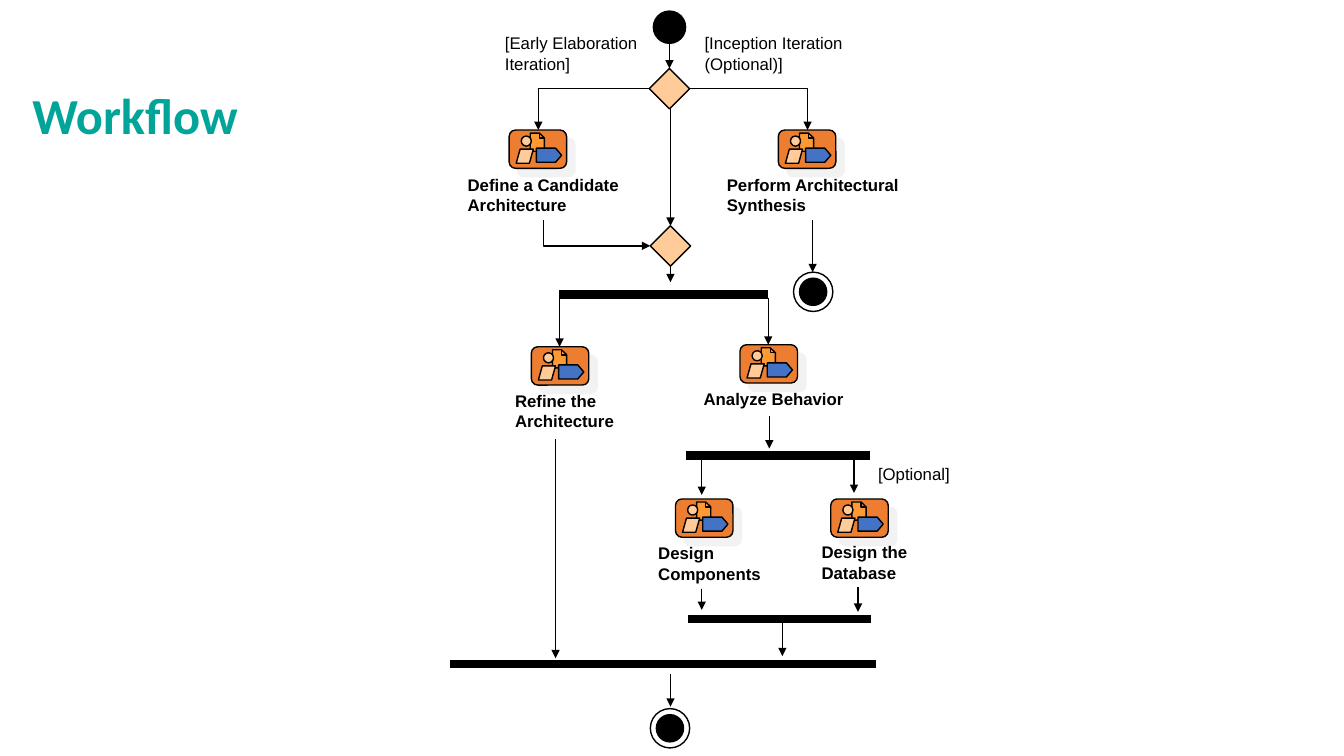
"""Build the architecture workflow activity diagram slide."""
from dataclasses import dataclass
from typing import Optional

import pptx
import pptx.dml.color
import pptx.enum.shapes
import pptx.enum.text
import pptx.oxml
import pptx.oxml.ns
import pptx.util
from pptx.util import Inches

SHAPES = pptx.enum.shapes.MSO_SHAPE
CONNECTORS = pptx.enum.shapes.MSO_CONNECTOR
Point = tuple[float, float]


@dataclass(frozen=True)
class Theme:
    title_color: str = "00A499"
    ink: str = "000000"
    activity: str = "ED7D31"
    document: str = "FF9933"
    pale: str = "FFCC99"
    process: str = "4472C4"
    shadow: str = "E7E6E6"
    title_font: str = "Calibri"
    label_font: str = "Arial"
    title_size: int = 36
    label_size: int = 12
    thin: float = 1
    thick: float = 6


@dataclass(frozen=True)
class Label:
    left: float
    top: float
    width: float
    lines: tuple[str, ...]
    bold: bool = False


@dataclass(frozen=True)
class Activity:
    left: float
    top: float
    label: Label


@dataclass(frozen=True)
class Link:
    start: Point
    end: Point
    arrow: str = "tailEnd"
    bent: bool = False


@dataclass(frozen=True)
class Part:
    kind: SHAPES
    left: float
    top: float
    width: float
    height: float
    fill: Optional[str]
    adjustment: Optional[float] = None


THEME = Theme()

ICON_PARTS = (
    Part(SHAPES.PARALLELOGRAM, 0.07, 0.19, 0.17, 0.14, THEME.pale, 0.279),
    Part(SHAPES.OVAL, 0.12, 0.06, 0.1, 0.1, THEME.pale),
    Part(SHAPES.PENTAGON, 0.27, 0.18, 0.25, 0.14, THEME.process, 0.427),
)
PAGE_OUTLINE = ((0.21, 0.03), (0.21, 0.21), (0.35, 0.21), (0.35, 0.08), (0.3, 0.03))
PAGE_FOLD = ((0.3, 0.03), (0.3, 0.08), (0.35, 0.08))

ACTIVITIES = (
    Activity(5.05, 1.29, Label(4.54, 1.68, 1.7, ("Define a Candidate", "Architecture"), True)),
    Activity(7.72, 1.29, Label(7.11, 1.68, 1.91, ("Perform Architectural", "Synthesis"), True)),
    Activity(5.27, 3.44, Label(5.01, 3.83, 1.18, ("Refine the", "Architecture"), True)),
    Activity(7.34, 3.42, Label(6.88, 3.81, 1.59, ("Analyze Behavior",), True)),
    Activity(6.7, 4.95, Label(6.43, 5.34, 1.22, ("Design", "Components"), True)),
    Activity(8.24, 4.95, Label(8.05, 5.33, 1.05, ("Design the", "Database"), True)),
)
CONDITIONS = (
    Label(4.91, 0.28, 1.56, ("[Early Elaboration", "Iteration]")),
    Label(6.89, 0.28, 1.57, ("[Inception Iteration", "(Optional)]")),
    Label(8.61, 4.55, 0.91, ("[Optional]",)),
)
START_NODE = Part(SHAPES.OVAL, 6.48, 0.11, 0.32, 0.32, THEME.ink)
DECISIONS = ((6.44, 0.68), (6.45, 2.24))
END_NODES = ((7.87, 2.7), (6.45, 7.03))
BARS = (
    Link((5.55, 2.92), (7.62, 2.92), ""),
    Link((6.8, 4.52), (8.63, 4.52), ""),
    Link((6.82, 6.14), (8.64, 6.14), ""),
    Link((4.46, 6.59), (8.69, 6.59), ""),
)
ARROWS = (
    Link((6.64, 0.43), (6.64, 0.68)),
    Link((6.44, 0.88), (5.34, 1.29), bent=True),
    Link((6.84, 0.88), (8.01, 1.29), bent=True),
    Link((6.45, 2.44), (5.39, 2.18), "headEnd", bent=True),
    Link((6.65, 1.08), (6.65, 2.24)),
    Link((8.06, 2.18), (8.06, 2.7)),
    Link((6.65, 2.64), (6.65, 2.8)),
    Link((5.55, 2.88), (5.55, 3.44)),
    Link((7.62, 2.96), (7.62, 3.42)),
    Link((7.63, 4.13), (7.63, 4.45)),
    Link((5.51, 4.36), (5.51, 6.53)),
    Link((6.96, 4.56), (6.96, 4.91)),
    Link((8.47, 4.56), (8.47, 4.89)),
    Link((6.96, 5.84), (6.96, 6.05)),
    Link((8.51, 5.82), (8.51, 6.07)),
    Link((7.76, 6.18), (7.76, 6.51)),
    Link((6.65, 6.69), (6.65, 7.01)),
)


def color(value: str) -> pptx.dml.color.RGBColor:
    return pptx.dml.color.RGBColor.from_string(value)


def paint(shape, fill: Optional[str]) -> None:
    shape.shadow.inherit = False
    if fill:
        shape.fill.solid()
        shape.fill.fore_color.rgb = color(fill)
    else:
        shape.fill.background()
    shape.line.color.rgb = color(THEME.ink)
    shape.line.width = pptx.util.Pt(THEME.thin)


def add_part(slide, part: Part, left: float = 0, top: float = 0):
    shape = slide.shapes.add_shape(part.kind, Inches(left + part.left), Inches(top + part.top),
                                   Inches(part.width), Inches(part.height))
    if part.adjustment is not None:
        shape.adjustments[0] = part.adjustment
    paint(shape, part.fill)
    return shape


def add_outline(slide, points: tuple[Point, ...], left: float, top: float, fill: Optional[str]) -> None:
    corners = [(Inches(left + x), Inches(top + y)) for x, y in points]
    builder = slide.shapes.build_freeform(*corners[0])
    builder.add_line_segments(corners[1:], close=fill is not None)
    paint(builder.convert_to_shape(), fill)


def add_offset_shadow(shape) -> None:
    effects = shape._element.spPr.find(pptx.oxml.ns.qn("a:effectLst"))
    effects.append(pptx.oxml.parse_xml(
        f'<a:outerShdw {pptx.oxml.ns.nsdecls("a")} dist="107950" dir="2700000" algn="ctr" rotWithShape="0">'
        f'<a:srgbClr val="{THEME.shadow}"><a:alpha val="50000"/></a:srgbClr></a:outerShdw>'))


def add_runs(frame, lines: tuple[str, ...], font: str, size: float, ink: str, bold: bool) -> None:
    for index, line in enumerate(lines):
        paragraph = frame.add_paragraph() if index else frame.paragraphs[0]
        paragraph.alignment = pptx.enum.text.PP_ALIGN.LEFT
        run = paragraph.add_run()
        run.text = line
        run.font.name, run.font.size, run.font.bold = font, pptx.util.Pt(size), bold
        run.font.color.rgb = color(ink)


def add_label(slide, label: Label) -> None:
    box = slide.shapes.add_textbox(Inches(label.left), Inches(label.top), Inches(label.width),
                                   Inches(0.1 + 0.2 * len(label.lines)))
    box.text_frame.word_wrap = False
    box.text_frame.auto_size = pptx.enum.text.MSO_AUTO_SIZE.SHAPE_TO_FIT_TEXT
    add_runs(box.text_frame, label.lines, THEME.label_font, THEME.label_size, THEME.ink, label.bold)


def add_activity(slide, activity: Activity) -> None:
    frame = Part(SHAPES.ROUNDED_RECTANGLE, 0, 0, 0.57, 0.38, THEME.activity, 0.167)
    add_offset_shadow(add_part(slide, frame, activity.left, activity.top))
    add_outline(slide, PAGE_OUTLINE, activity.left, activity.top, THEME.document)
    add_outline(slide, PAGE_FOLD, activity.left, activity.top, None)
    for part in ICON_PARTS:
        add_part(slide, part, activity.left, activity.top)
    add_label(slide, activity.label)


def add_link(slide, link: Link, width: float) -> None:
    kind = CONNECTORS.ELBOW if link.bent else CONNECTORS.STRAIGHT
    connector = slide.shapes.add_connector(kind, *map(Inches, link.start + link.end))
    connector.line.color.rgb = color(THEME.ink)
    connector.line.width = pptx.util.Pt(width)
    properties = connector._element.spPr
    if link.bent:
        properties.find(pptx.oxml.ns.qn("a:prstGeom")).set("prst", "bentConnector2")
    namespace = pptx.oxml.ns.nsdecls("a")
    if link.arrow:
        line = properties.find(pptx.oxml.ns.qn("a:ln"))
        line.append(pptx.oxml.parse_xml(f'<a:{link.arrow} {namespace} type="triangle"/>'))
    properties.append(pptx.oxml.parse_xml(f"<a:effectLst {namespace}/>"))


def add_title(slide) -> None:
    title = slide.shapes.title
    title.left, title.top, title.width, title.height = map(Inches, (0.22, 0.72, 12.9, 0.77))
    title.text_frame.vertical_anchor = pptx.enum.text.MSO_ANCHOR.BOTTOM
    add_runs(title.text_frame, ("Workflow",), THEME.title_font, THEME.title_size, THEME.title_color, True)
    title.text_frame.paragraphs[0].line_spacing = 0.9


def main() -> None:
    presentation = pptx.Presentation()
    presentation.slide_width, presentation.slide_height = Inches(13.33), Inches(7.5)
    slide = presentation.slides.add_slide(presentation.slide_layouts[5])
    add_title(slide)
    add_part(slide, START_NODE)
    for left, top in DECISIONS:
        add_part(slide, Part(SHAPES.DIAMOND, left, top, 0.4, 0.4, THEME.pale))
    for left, top in END_NODES:
        add_part(slide, Part(SHAPES.OVAL, left + 0.06, top + 0.06, 0.27, 0.27, THEME.ink))
        add_part(slide, Part(SHAPES.OVAL, left, top, 0.39, 0.39, None))
    for activity in ACTIVITIES:
        add_activity(slide, activity)
    for condition in CONDITIONS:
        add_label(slide, condition)
    for links, width in ((BARS, THEME.thick), (ARROWS, THEME.thin)):
        for link in links:
            add_link(slide, link, width)
    presentation.save("out.pptx")


if __name__ == "__main__":
    main()
